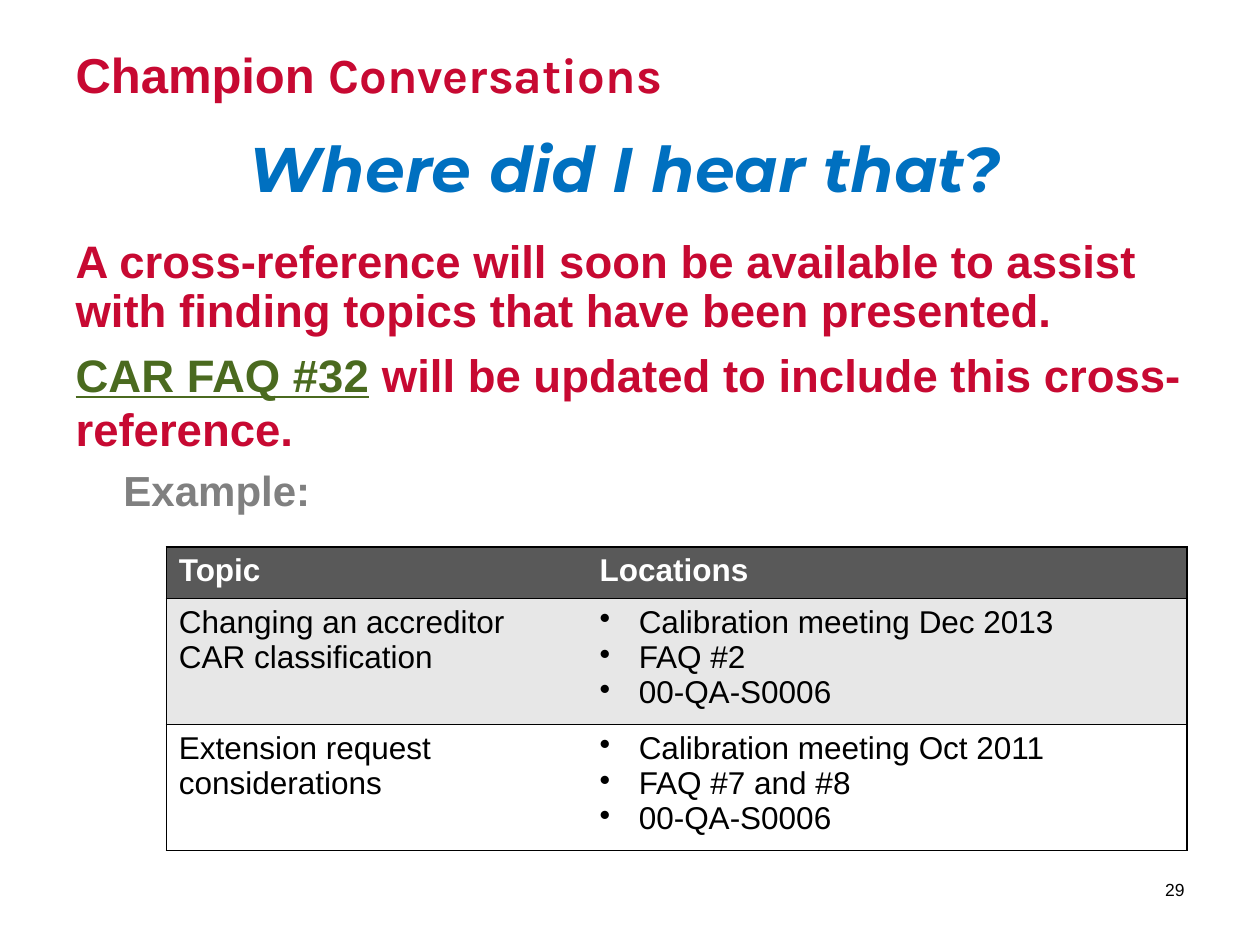
"""Build the Champion Conversations slide with its cross-reference table."""
from pptx import Presentation
from pptx.dml.color import RGBColor
from pptx.enum.text import MSO_ANCHOR as Anchor, MSO_AUTO_SIZE as AutoSize, PP_ALIGN as Align
from pptx.oxml import parse_xml
from pptx.oxml.ns import nsdecls
from pptx.util import Inches, Pt


def style(font, size, color, name="Arial", bold=False, italic=False):
    font.size, font.name, font.bold, font.italic = Pt(size), name, bold, italic
    font.color.rgb = RGBColor.from_string(color)


def set_bullet(paragraph, bullet, margin=0, indent=0):
    properties = paragraph._p.get_or_add_pPr()
    properties.set("marL", str(Inches(margin)))
    properties.set("indent", str(Inches(indent)))
    tag = f'a:buChar {nsdecls("a")} char="{bullet}"' if bullet else f'a:buNone {nsdecls("a")}'
    properties.append(parse_xml(f"<{tag}/>"))


RED, GRAY, GREEN, BLUE, BLACK, WHITE = "C70932", "808080", "4A6A1F", "0070C0", "000000", "FFFFFF"

deck = Presentation()
deck.slide_width, deck.slide_height = Inches(10), Inches(7.5)
slide = deck.slides.add_slide(deck.slide_layouts[1])

title, body = slide.placeholders
for holder, top, height in ((title, 0.3, 1.25), (body, 1.85, 5.51)):
    holder.left, holder.top = Inches(0.5), Inches(top)
    holder.width, holder.height = Inches(9), Inches(height)
    holder.text_frame.auto_size = AutoSize.NONE
    holder.text_frame.vertical_anchor = Anchor.TOP

heading = title.text_frame.paragraphs[0]
heading.alignment = Align.LEFT
for word, typeface in (("Champion ", "Arial"), ("Conversations", "Karla")):
    run = heading.add_run()
    run.text = word
    style(run.font, 28, RED, typeface, bold=True)

messages = [
    (["A cross-reference will soon be available to assist with finding topics "
      "that have been presented."], 26, RED, 0, 0, 0.9),
    (["CAR FAQ #32", " will be updated to include this cross-reference."], 26, RED, 0, 5.2, 1.0),
    (["Example:"], 24, GRAY, 0.38, 4.8, 1.0),
]
for number, (parts, size, color, margin, before, spacing) in enumerate(messages):
    message = body.text_frame.paragraphs[0] if number == 0 else body.text_frame.add_paragraph()
    set_bullet(message, None, margin)
    message.space_before, message.line_spacing = Pt(before), spacing
    style(message.font, size, color, bold=True)
    for part in parts:
        message.add_run().text = part
faq = body.text_frame.paragraphs[1].runs[0]
faq.font.underline = True
faq.font.color.rgb = RGBColor.from_string(GREEN)

question = slide.shapes.add_textbox(Inches(0.9), Inches(0.98), Inches(8.12), Inches(0.71))
question.text_frame.word_wrap = True
asked = question.text_frame.paragraphs[0]
asked.text, asked.alignment = "Where did I hear that?", Align.CENTER
style(asked.font, 36, BLUE, "Montserrat", bold=True, italic=True)

page = slide.shapes.add_textbox(Inches(8.8), Inches(6.86), Inches(0.7), Inches(0.4))
page.text_frame.word_wrap = True
page.text_frame.vertical_anchor = Anchor.MIDDLE
page_number = page.text_frame.paragraphs[0]
page_number.text, page_number.alignment = "29", Align.RIGHT
style(page_number.font, 10, BLACK)

topics = [
    ("Topic", ["Locations"], "595959", 0.41),
    ("Changing an accreditor CAR classification",
     ["Calibration meeting Dec 2013", "FAQ #2", "00-QA-S0006"], "E7E7E7", 1),
    ("Extension request considerations",
     ["Calibration meeting Oct 2011", "FAQ #7 and #8", "00-QA-S0006"], WHITE, 1),
]
table = slide.shapes.add_table(3, 2, Inches(1.32), Inches(4.34), Inches(8.1), Inches(2.41)).table
table.columns[0].width, table.columns[1].width = Inches(3.34), Inches(4.76)
for row, (topic, locations, fill, height) in enumerate(topics):
    table.rows[row].height = Inches(height)
    for column, lines in enumerate(([topic], locations)):
        cell = table.cell(row, column)
        inner_side = "R" if column == 0 else "L"
        for side in "LRTB":
            paint = ("<a:noFill/>" if side == inner_side else
                     f'<a:solidFill><a:srgbClr val="{BLACK}"/></a:solidFill>')
            cell._tc.get_or_add_tcPr().append(parse_xml(
                f'<a:ln{side} {nsdecls("a")} w="{Pt(1)}">{paint}</a:ln{side}>'))
        cell.fill.solid()
        cell.fill.fore_color.rgb = RGBColor.from_string(fill)
        cell.text = "\n".join(lines)
        for entry in cell.text_frame.paragraphs:
            if row and column:
                set_bullet(entry, "•", 0.31, -0.31)
            style(entry.font, 18, BLACK if row else WHITE, bold=row == 0)

deck.save("out.pptx")
